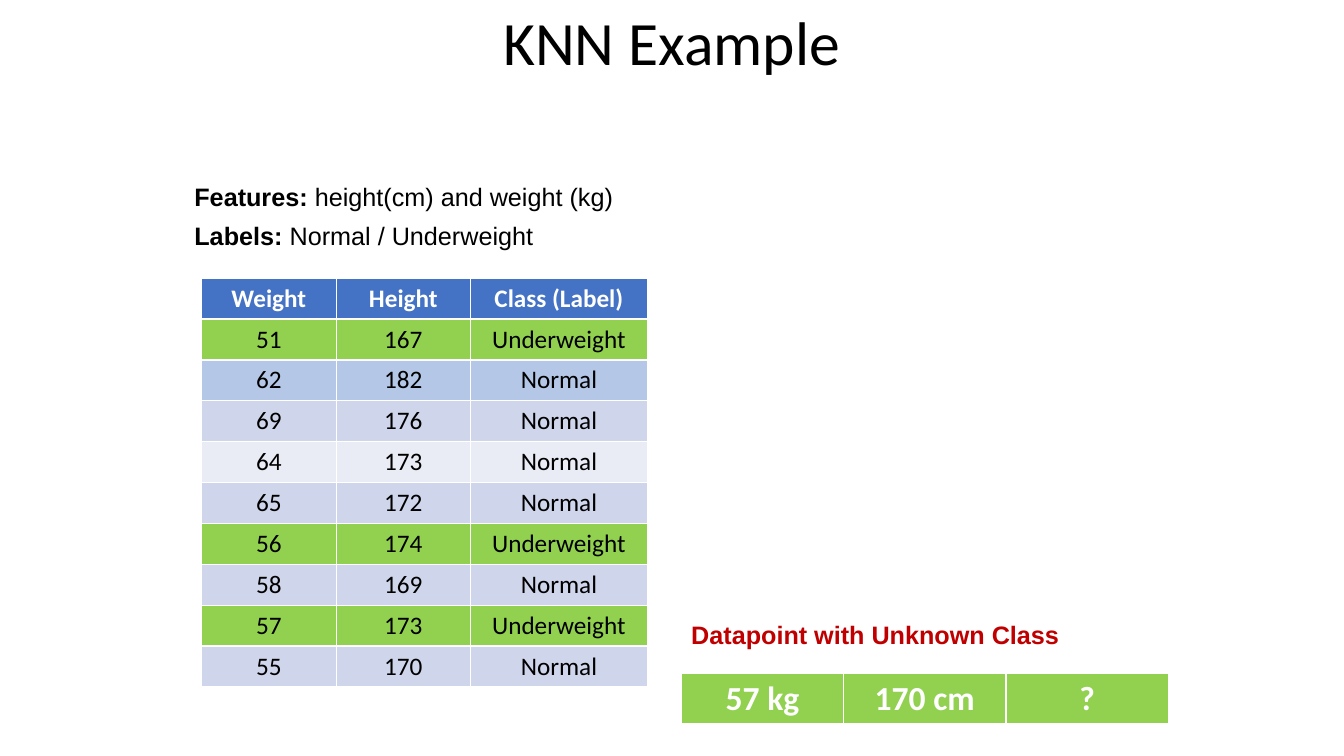
"""Build the KNN example slide: labelled samples and one point to classify."""
from pptx import Presentation
from pptx import util as u
from pptx.dml.color import RGBColor
from pptx.enum import text

HUES = {
    "black": "000000", "white": "FFFFFF", "red": "C00000", "head": "4472C4",
    "green": "92D050", "blue": "B4C7E7", "dark": "CFD5EA", "light": "E9EBF5",
}


def add_run(para, words, size, hue, bold=False, face="Calibri"):
    run = para.add_run()
    run.text = words
    run.font.name = face
    run.font.size = u.Pt(size)
    run.font.bold = bold
    run.font.color.rgb = RGBColor.from_string(HUES[hue])


def add_box(left, top, width, height):
    frame = slide.shapes.add_textbox(
        u.Cm(left), u.Cm(top), u.Cm(width), u.Cm(height)).text_frame
    frame.word_wrap = True
    return frame


deck = Presentation()
deck.slide_width, deck.slide_height = u.Cm(33.87), u.Cm(19.05)
slide = deck.slides.add_slide(deck.slide_layouts[6])

title = add_box(4.23, 0, 25.4, 2.06)
title.vertical_anchor = text.MSO_ANCHOR.MIDDLE
title.paragraphs[0].alignment = text.PP_ALIGN.CENTER
add_run(title.paragraphs[0], "KNN Example", 44, "black")

samples = [
    ("head", "Weight", "Height", "Class (Label)"),
    ("green", "51", "167", "Underweight"),
    ("blue", "62", "182", "Normal"),
    ("dark", "69", "176", "Normal"),
    ("light", "64", "173", "Normal"),
    ("dark", "65", "172", "Normal"),
    ("green", "56", "174", "Underweight"),
    ("dark", "58", "169", "Normal"),
    ("green", "57", "173", "Underweight"),
    ("dark", "55", "170", "Normal"),
]
query = [("green", "57 kg", "170 cm", "?")]
tables = [
    (samples, 5.08, 7.01, (3.39, 3.39, 4.45), 1.03, 18),
    (query, 17.17, 16.97, (4.09, 4.09, 4.09), 1.24, 24),
]
for rows, left, top, widths, height, size in tables:
    grid = slide.shapes.add_table(
        len(rows), 3, u.Cm(left), u.Cm(top),
        u.Cm(sum(widths)), u.Cm(height * len(rows))).table
    for col, width in zip(grid.columns, widths):
        col.width = u.Cm(width)
    for r, (fill, *words) in enumerate(rows):
        grid.rows[r].height = u.Cm(height)
        for c, word in enumerate(words):
            cell = grid.cell(r, c)
            cell.fill.solid()
            cell.fill.fore_color.rgb = RGBColor.from_string(HUES[fill])
            para = cell.text_frame.paragraphs[0]
            para.alignment = text.PP_ALIGN.CENTER
            add_run(para, word, size, "black" if r else "white", r == 0)

facts = add_box(4.65, 4.52, 23.32, 2.03)
pairs = [("Features: ", "height(cm) and weight (kg)"),
         ("Labels: ", "Normal / Underweight")]
for i, (name, value) in enumerate(pairs):
    para = facts.add_paragraph() if i else facts.paragraphs[0]
    para.line_spacing = 0.9
    if i:
        para.space_before = u.Pt(9)
    add_run(para, name, 18, "black", True, "Arial")
    add_run(para, value, 18, "black", False, "Arial")

label = add_box(17.17, 15.47, 16.94, 1.02)
add_run(label.paragraphs[0], "Datapoint with Unknown Class", 18, "red", True, "Arial")

deck.save("out.pptx")
